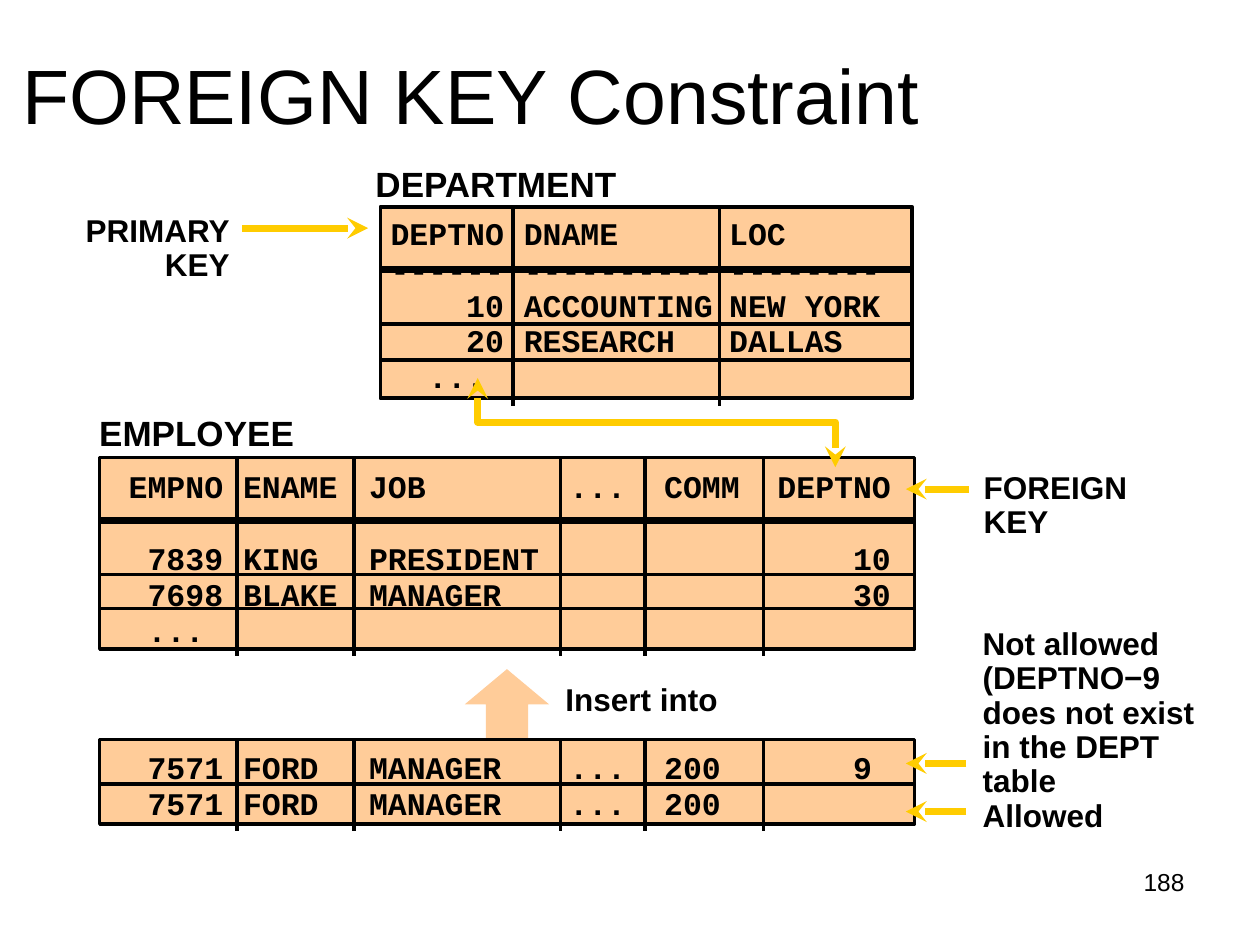
from lxml.etree import SubElement
from pptx import Presentation
from pptx.dml.color import RGBColor
from pptx.enum.shapes import MSO_CONNECTOR as Link, MSO_SHAPE as Shape
from pptx.enum.text import PP_ALIGN as Align
from pptx.oxml.ns import qn
from pptx.util import Cm, Pt

BLACK = RGBColor(0, 0, 0)
PEACH = RGBColor(0xFF, 0xCC, 0x99)
GOLD = RGBColor(0xFF, 0xCC, 0x00)

# Content: tab stops are (cm, alignment); a row may replace its stops
NUMBER = (2.29, "r")
DOTS = [(1.91, "r")]
DEPT_STOPS = [NUMBER, (2.69, "l"), (6.83, "l")]
EMP_STOPS = [NUMBER, (2.69, "l"), (5.23, "l"), (9.27, "l"), (11.18, "l"), (15.75, "r")]
EMP_COLUMNS = [4.78, 7.14, 11.3, 13, 15.39]

GRIDS = [
    dict(frame=(7.67, 4.17, 10.72, 3.86), text_top=4.24, columns=[10.34, 14.5],
         rules=[(5.44, 4), (6.53, 2), (7.26, 2)], stops=DEPT_STOPS,
         rows=[("\tDEPTNO\tDNAME\tLOC", {}),
               ("\t------\t----------\t--------", {}),
               ("\t10\tACCOUNTING\tNEW YORK", {}),
               ("\t20\tRESEARCH\tDALLAS", {}),
               ("\t...", dict(stops=DOTS))]),
    dict(frame=(2.01, 9.22, 16.43, 3.86), text_top=9.35, columns=EMP_COLUMNS,
         rules=[(10.49, 4), (11.58, 2), (12.27, 2)], stops=EMP_STOPS,
         rows=[("\tEMPNO\tENAME\tJOB\t...\tCOMM\tDEPTNO", {}),
               ("\t7839\tKING\tPRESIDENT\t\t\t10", dict(before=20.6)),
               ("\t7698\tBLAKE\tMANAGER\t\t\t30", {}),
               ("\t...", dict(stops=DOTS))]),
    dict(frame=(2.01, 14.91, 16.43, 1.7), text_top=15.01, columns=EMP_COLUMNS,
         rules=[(15.8, 2)], stops=EMP_STOPS,
         rows=[("\t7571\tFORD\tMANAGER\t...\t200\t9",
                dict(stops=EMP_STOPS[:-1] + [(15.37, "r")])),
               ("\t7571\tFORD\tMANAGER\t...\t200", {})]),
]

# Labels: text, place, format
LABELS = [
    ("FOREIGN KEY Constraint", (0.2, 0.84, 21.59, 3.18), dict(size=44, bold=False)),
    ("DEPARTMENT", (7.32, 3.15, 5.61, 1.09), dict(size=20)),
    ("EMPLOYEE", (1.75, 8.18, 4.45, 1.09), dict(size=20)),
    ("PRIMARY\vKEY", (1.17, 4.22, 3.71, 1.63), dict(spacing=0.9, align=Align.RIGHT)),
    ("FOREIGN\vKEY", (19.58, 9.4, 3.71, 1.63), dict(spacing=0.9)),
    ("Insert into", (11.15, 13.67, 7.21, 0.94), dict(spacing=0.9)),
    ("Not allowed\v(DEPTNO−9 does not exist in the DEPT table",
     (19.56, 12.55, 5.21, 3.68), dict(spacing=0.9)),
    ("Allowed", (19.56, 16, 3.2, 1.7), dict(spacing=0.9)),
    ("188", (18.21, 17.35, 5.92, 1.32), dict(size=14, bold=False, align=Align.RIGHT)),
]

# Arrows run from start to point
ARROWS = [((4.88, 4.6), (7.42, 4.6)), ((19.53, 9.86), (18.26, 9.86)),
          ((19.48, 15.39), (18.26, 15.39)), ((19.48, 16.36), (18.26, 16.36))]
KEY_LINK = [(9.63, 7.62), (9.63, 8.51), (16.84, 8.51), (16.84, 9.42)]

deck = Presentation()
deck.slide_width, deck.slide_height = Cm(25.4), Cm(19.05)
page = deck.slides.add_slide(deck.slide_layouts[6])


def write(para, text, size=18, bold=True, font="Arial", align=Align.LEFT,
          spacing=None, before=0, stops=()):
    if stops:
        tabs = SubElement(para._p.get_or_add_pPr(), qn("a:tabLst"))
        for position, side in stops:
            SubElement(tabs, qn("a:tab"), pos=str(Cm(position)), algn=side)
    para.text = text
    para.alignment = align
    if spacing:
        para.line_spacing = spacing
    if before:
        para.space_before = Pt(before)
    para.font.size, para.font.bold, para.font.name = Pt(size), bold, font
    para.font.color.rgb = BLACK


def add_box(place):
    box = page.shapes.add_textbox(*map(Cm, place))
    box.text_frame.word_wrap = True
    return box.text_frame


def add_block(kind, place, outlined=True):
    block = page.shapes.add_shape(kind, *map(Cm, place))
    block.shadow.inherit = False
    block.fill.solid()
    block.fill.fore_color.rgb = PEACH
    if outlined:
        block.line.color.rgb, block.line.width = BLACK, Pt(2)
    else:
        block.line.fill.background()


def style_line(shape, color, width, heads=()):
    shape.line.color.rgb, shape.line.width = color, Pt(width)
    for end in heads:
        SubElement(shape.line._get_or_add_ln(), qn(f"a:{end}"), type="stealth")


def add_line(start, end, color=BLACK, width=2, heads=()):
    line = page.shapes.add_connector(Link.STRAIGHT, *map(Cm, start + end))
    style_line(line, color, width, heads)
    SubElement(line._element.spPr, qn("a:effectLst"))


# Insert arrow, behind the grid it rises from
add_block(Shape.UP_ARROW, (9.37, 13.49, 1.7, 1.42), outlined=False)

# Grids: frame, rows of text, rules
for grid in GRIDS:
    left, top, width, height = grid["frame"]
    add_block(Shape.RECTANGLE, grid["frame"])
    frame = add_box((left - 0.05, grid["text_top"], width + 0.1, height))
    for index, (text, changes) in enumerate(grid["rows"]):
        para = frame.add_paragraph() if index else frame.paragraphs[0]
        write(para, text, **{"font": "Courier New", "spacing": 0.95,
                             "stops": grid["stops"], **changes})
    for y, weight in grid["rules"]:
        add_line((left, y), (left + width, y), width=weight)
    for x in grid["columns"]:
        add_line((x, top), (x, top + height + 0.15))

# Labels
for text, place, style in LABELS:
    write(add_box(place).paragraphs[0], text, **style)

# Arrows and the link between the key columns
for start, point in ARROWS:
    add_line(start, point, GOLD, 4, ["tailEnd"])
path_start, *corners = [(Cm(x), Cm(y)) for x, y in KEY_LINK]
builder = page.shapes.build_freeform(*path_start)
builder.add_line_segments(corners, close=False)
link = builder.convert_to_shape()
link.shadow.inherit = False
link.fill.background()
style_line(link, GOLD, 4, ["headEnd", "tailEnd"])

deck.save("out.pptx")
